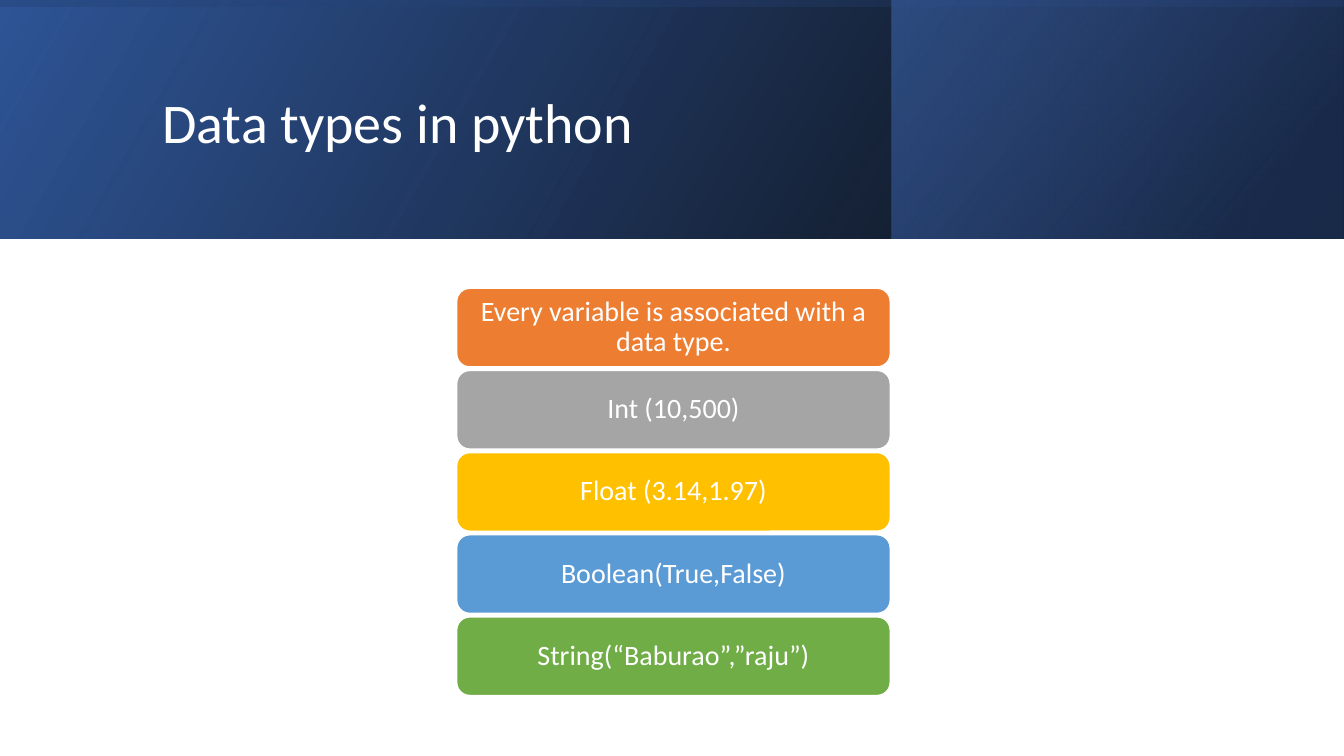
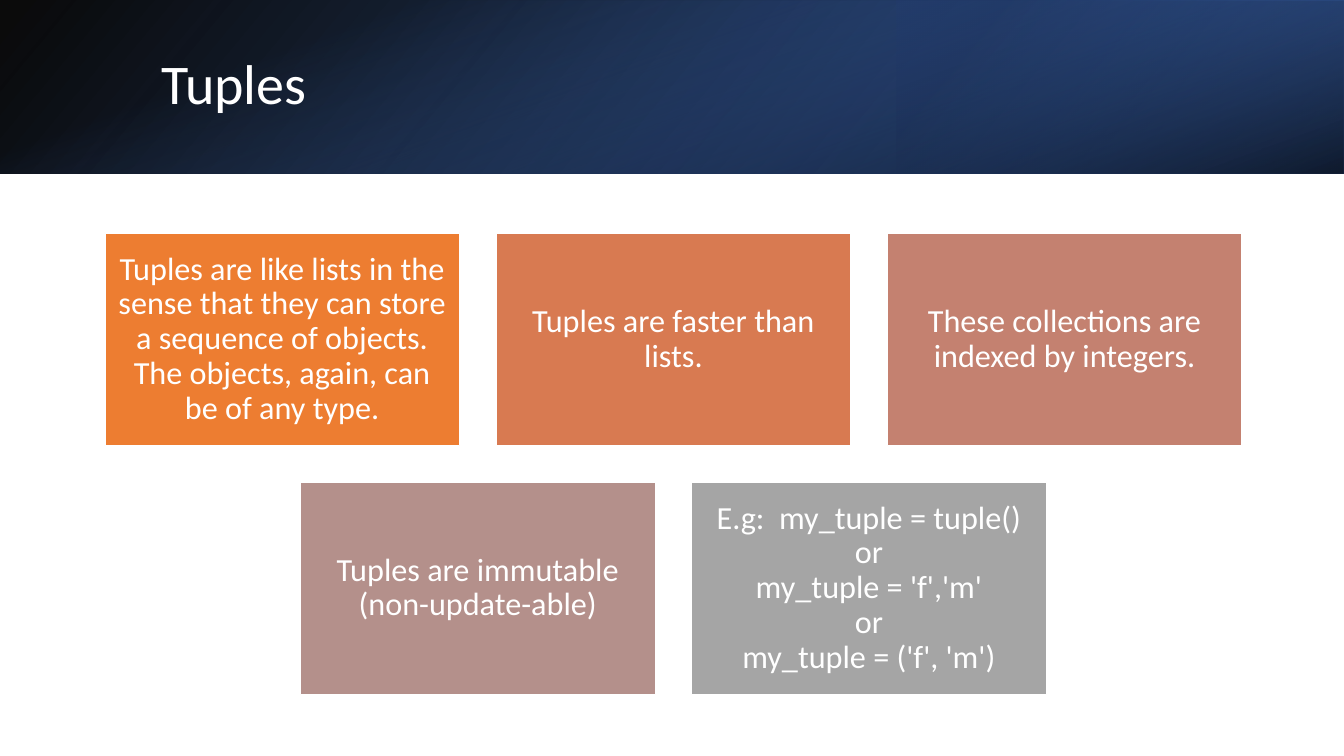
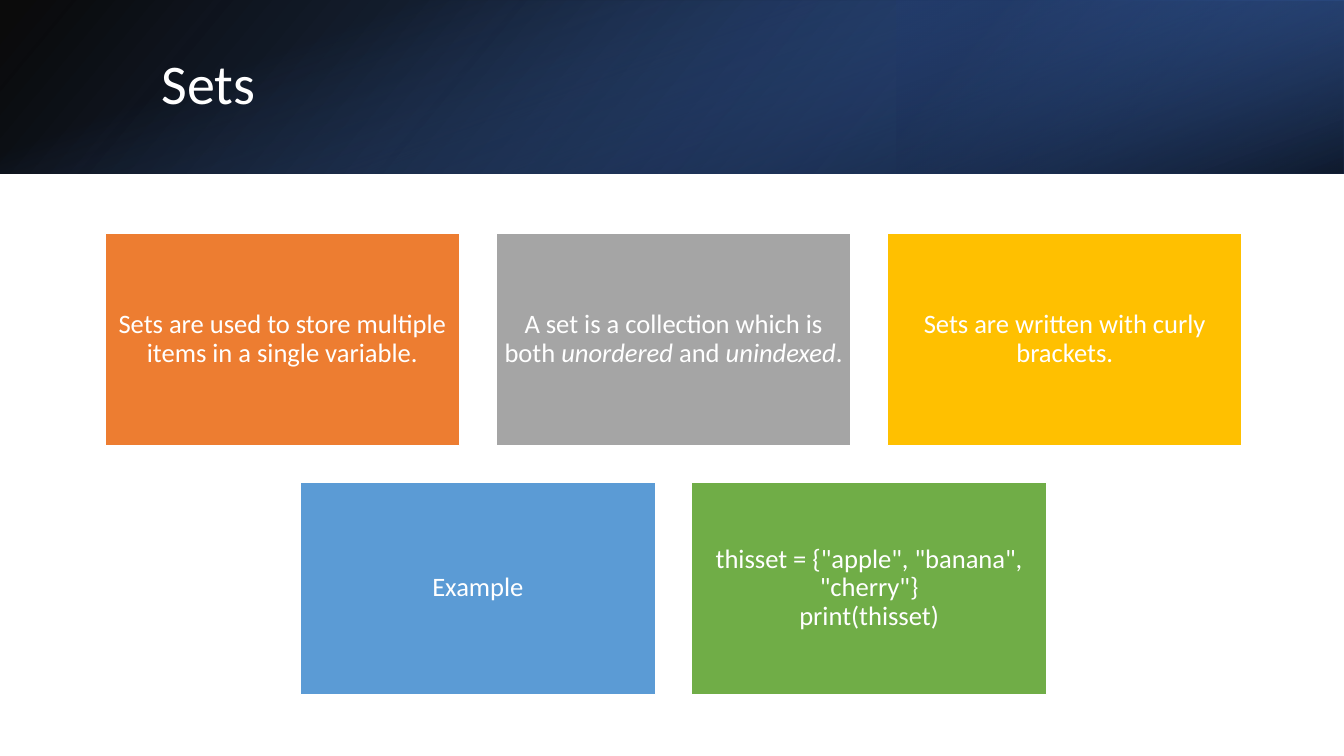
"""Build three slides on Python data types, tuples and sets."""

from dataclasses import dataclass

from lxml.etree import SubElement
from pptx import Presentation
from pptx.dml.color import RGBColor
from pptx.enum.shapes import MSO_SHAPE
from pptx.enum.text import MSO_ANCHOR, MSO_AUTO_SIZE, PP_ALIGN
from pptx.oxml.ns import qn
from pptx.util import Inches, Pt

WHITE = RGBColor(0xFF, 0xFF, 0xFF)
BLACK = RGBColor(0x00, 0x00, 0x00)
NAVY = RGBColor(0x20, 0x38, 0x64)
DEEP_BLUE = RGBColor(0x2F, 0x55, 0x97)
ROYAL_BLUE = RGBColor(0x44, 0x72, 0xC4)
ORANGE = RGBColor(0xED, 0x7D, 0x31)
RUST = RGBColor(0xD8, 0x7A, 0x51)
ROSE = RGBColor(0xC4, 0x81, 0x70)
MAUVE = RGBColor(0xB4, 0x90, 0x8B)
GREY = RGBColor(0xA5, 0xA5, 0xA5)
GOLD = RGBColor(0xFF, 0xC0, 0x00)
SKY = RGBColor(0x5B, 0x9B, 0xD5)
GREEN = RGBColor(0x70, 0xAD, 0x47)
ACCENTS = (ORANGE, GREY, GOLD, SKY, GREEN)
FADED = (ORANGE, RUST, ROSE, MAUVE, GREY)

FONT = "Calibri"
SLIDE_WIDTH, SLIDE_HEIGHT = 13.33, 7.5
STACK_LEFT, STACK_TOP, STACK_BOTTOM = 4.53, 2.86, 6.9
STACK_BOX = (4.3, 0.78)
GRID_CENTER, GRID_TOP, GRID_GAP = 6.68, 2.31, 0.36
GRID_BOX = (3.52, 2.11)
GRID_ROWS = (3, 2)


@dataclass(frozen=True)
class Frame:
    """Left, top, width and height in inches."""

    left: float
    top: float
    width: float
    height: float

    def lengths(self) -> tuple:
        """Return the four lengths for a new shape."""
        return tuple(map(Inches, (self.left, self.top, self.width, self.height)))


@dataclass(frozen=True)
class Stop:
    """One gradient stop, with position and opacity in percent."""

    position: int
    color: RGBColor
    opacity: int = 100


@dataclass(frozen=True)
class Band:
    """A gradient layer of the header, with a counter-clockwise angle."""

    frame: Frame
    stops: tuple[Stop, Stop]
    angle: int
    rotation: int = 0
    flipped: bool = True


@dataclass(frozen=True)
class Header:
    """The layered bands and the place of the title."""

    bands: tuple[Band, ...]
    title: Frame


@dataclass(frozen=True)
class BoxStyle:
    """The outline, text size and margins of a family of boxes."""

    outline: MSO_SHAPE
    size: int
    side_margin: float
    end_margin: float


BASE_STOPS = (Stop(0, BLACK, 96), Stop(100, DEEP_BLUE))

TALL_HEADER = Header(
    (
        Band(Frame(0, 0, SLIDE_WIDTH, 2.37), BASE_STOPS, 30),
        Band(Frame(8.84, 0, 4.48, 2.37),
             (Stop(19, NAVY, 68), Stop(100, ROYAL_BLUE, 48)), 40),
        Band(Frame(5.48, -5.48, 2.37, SLIDE_WIDTH),
             (Stop(23, DEEP_BLUE, 16), Stop(99, BLACK, 45)), 10, 270),
    ),
    Frame(1.51, 0.38, 10.63, 1.72),
)
SHORT_HEADER = Header(
    (
        Band(Frame(0, 0, SLIDE_WIDTH, 1.72), BASE_STOPS, 220),
        Band(Frame(8.89, 0, 4.44, 1.72),
             (Stop(19, NAVY, 68), Stop(100, ROYAL_BLUE, 79)), 40, 180),
        Band(Frame(5.8, -5.8, 1.72, SLIDE_WIDTH),
             (Stop(23, ROYAL_BLUE, 0), Stop(99, BLACK, 74)), 20, 90, False),
    ),
    Frame(1.5, 0.38, 10.98, 0.96),
)

STACK_STYLE = BoxStyle(MSO_SHAPE.ROUNDED_RECTANGLE, 20, 0.08, 0.04)
TUPLE_STYLE = BoxStyle(MSO_SHAPE.RECTANGLE, 23, 0.1, 0.1)
SET_STYLE = BoxStyle(MSO_SHAPE.RECTANGLE, 19, 0.08, 0.08)

TYPE_TEXTS = (
    "Every variable is associated with a data type.",
    "Int (10,500)",
    "Float (3.14,1.97)",
    "Boolean(True,False)",
    "String(“Baburao”,”raju”)",
)
TUPLE_TEXTS = (
    "Tuples are like lists in the sense that they can store a sequence of "
    "objects. The objects, again, can be of any type.",
    "Tuples are faster than lists.",
    "These collections are indexed by integers.",
    "Tuples are immutable (non-update-able)",
    "E.g:  my_tuple = tuple()\nor\nmy_tuple = 'f','m'\nor\nmy_tuple = ('f', 'm')",
)
SET_TEXTS = (
    "Sets are used to store multiple items in a single variable.",
    "A set is a collection which is both *unordered* and *unindexed*.",
    "Sets are written with curly brackets.",
    "Example",
    'thisset = {"apple", "banana", "cherry"}\nprint(thisset)',
)


def style_paragraph(para, size: int, align: PP_ALIGN) -> None:
    """Apply the deck's white type to a paragraph."""
    para.alignment = align
    para.line_spacing = 0.9
    para.font.name = FONT
    para.font.size = Pt(size)
    para.font.color.rgb = WHITE


def add_band(page, band: Band) -> None:
    """Draw one gradient layer of the header."""
    shape = page.shapes.add_shape(MSO_SHAPE.RECTANGLE, *band.frame.lengths())
    shape.shadow.inherit = False
    shape.rotation = band.rotation
    if band.flipped:
        shape.element.spPr.find(qn("a:xfrm")).set("flipH", "1")
    shape.line.fill.background()
    shape.fill.gradient()
    shape.fill.gradient_angle = band.angle
    for target, stop in zip(shape.fill.gradient_stops, band.stops):
        target.position = stop.position / 100
        target.color.rgb = stop.color
    for color, stop in zip(shape.element.spPr.iter(qn("a:srgbClr")), band.stops):
        SubElement(color, qn("a:alpha"), val=str(stop.opacity * 1000))


def add_page(deck, header: Header, text: str):
    """Add a slide with its header bands and the title above them."""
    page = deck.slides.add_slide(deck.slide_layouts.get_by_name("Title Only"))
    for band in header.bands:
        add_band(page, band)
    title = page.shapes.title
    title.element.getparent().append(title.element)
    title.left, title.top, title.width, title.height = header.title.lengths()
    title.text_frame.text = text
    title.text_frame.auto_size = MSO_AUTO_SIZE.NONE
    title.text_frame.vertical_anchor = MSO_ANCHOR.MIDDLE
    style_paragraph(title.text_frame.paragraphs[0], 40, PP_ALIGN.LEFT)
    return page


def write_text(para, text: str) -> None:
    """Write text with line breaks, setting parts between asterisks in italics."""
    for part_index, part in enumerate(text.split("*")):
        for line_index, line in enumerate(part.split("\n")):
            if line_index:
                para.add_line_break()
            span = para.add_run()
            span.text = line
            if part_index % 2:
                span.font.italic = True


def add_box(page, frame: Frame, style: BoxStyle, color: RGBColor, text: str) -> None:
    """Draw one filled box with centred text."""
    box = page.shapes.add_shape(style.outline, *frame.lengths())
    box.shadow.inherit = False
    box.fill.solid()
    box.fill.fore_color.rgb = color
    box.line.color.rgb = WHITE
    box.line.width = Pt(1)
    body = box.text_frame
    body.word_wrap = True
    body.vertical_anchor = MSO_ANCHOR.MIDDLE
    body.margin_left = body.margin_right = Inches(style.side_margin)
    body.margin_top = body.margin_bottom = Inches(style.end_margin)
    para = body.paragraphs[0]
    write_text(para, text)
    style_paragraph(para, style.size, PP_ALIGN.CENTER)


def stack_frames(count: int) -> list[Frame]:
    """Spread boxes evenly down the stack."""
    width, height = STACK_BOX
    pitch = (STACK_BOTTOM - STACK_TOP - height) / (count - 1)
    return [Frame(STACK_LEFT, STACK_TOP + index * pitch, width, height)
            for index in range(count)]


def grid_frames() -> list[Frame]:
    """Lay out centred rows of boxes with equal gaps."""
    width, height = GRID_BOX
    frames = []
    for row, count in enumerate(GRID_ROWS):
        left = GRID_CENTER - (count * (width + GRID_GAP) - GRID_GAP) / 2
        top = GRID_TOP + row * (height + GRID_GAP)
        frames += [Frame(left + column * (width + GRID_GAP), top, width, height)
                   for column in range(count)]
    return frames


def main() -> None:
    """Build and save the deck."""
    deck = Presentation()
    deck.slide_width, deck.slide_height = Inches(SLIDE_WIDTH), Inches(SLIDE_HEIGHT)
    stack, grid = stack_frames(len(TYPE_TEXTS)), grid_frames()
    for title, header, frames, style, colors, texts in (
        ("Data types in python", TALL_HEADER, stack, STACK_STYLE, ACCENTS, TYPE_TEXTS),
        ("Tuples", SHORT_HEADER, grid, TUPLE_STYLE, FADED, TUPLE_TEXTS),
        ("Sets", SHORT_HEADER, grid, SET_STYLE, ACCENTS, SET_TEXTS),
    ):
        page = add_page(deck, header, title)
        for frame, color, text in zip(frames, colors, texts):
            add_box(page, frame, style, color, text)
    deck.save("out.pptx")


if __name__ == "__main__":
    main()
